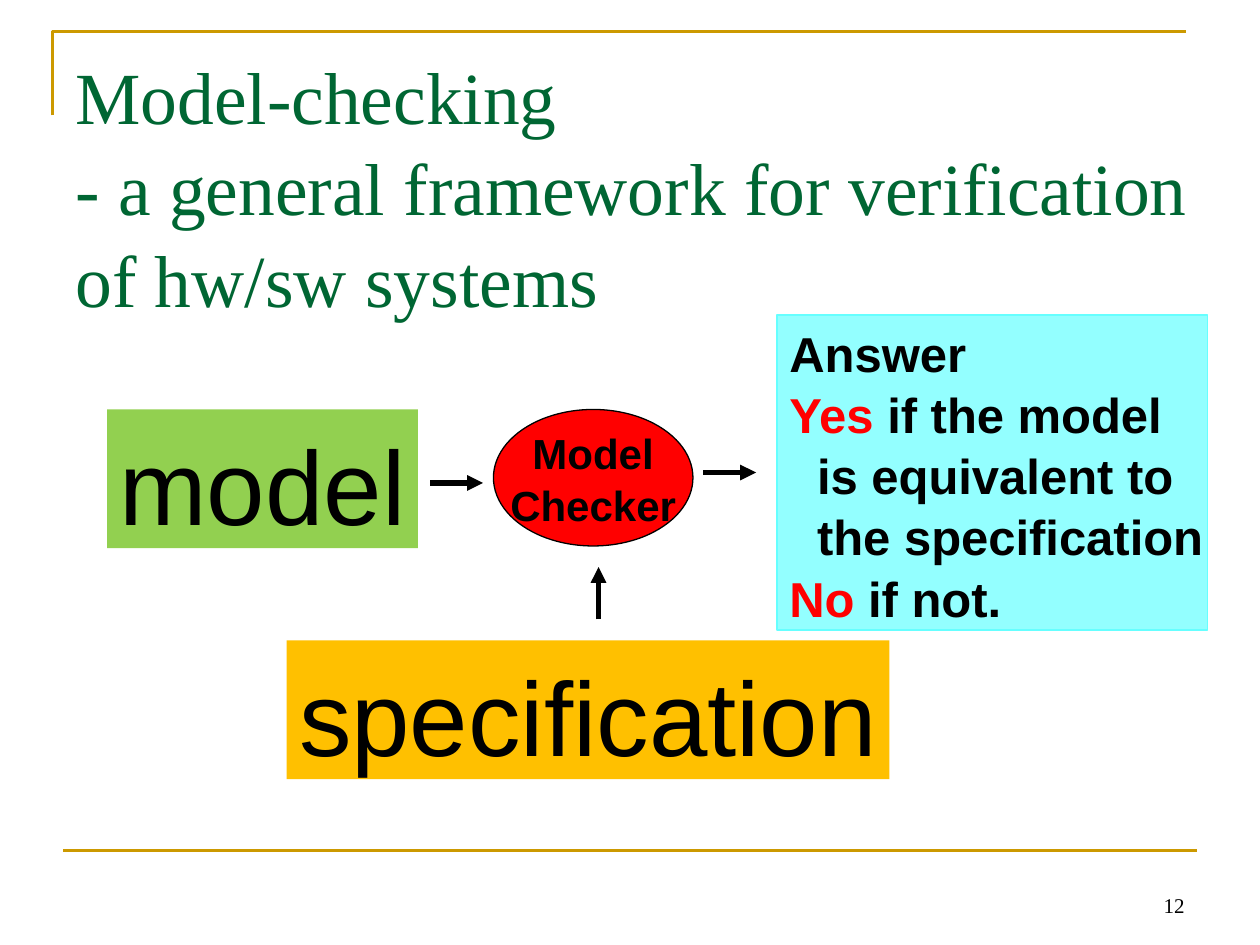
from lxml import etree
from pptx import Presentation
from pptx.dml.color import RGBColor
from pptx.enum.shapes import MSO_CONNECTOR, MSO_SHAPE
from pptx.enum.text import MSO_ANCHOR, PP_ALIGN
from pptx.oxml.ns import qn
from pptx.util import Inches, Pt

RECTANGLE, ELLIPSE = MSO_SHAPE.RECTANGLE, MSO_SHAPE.OVAL
STRAIGHT = MSO_CONNECTOR.STRAIGHT
TOP, MIDDLE, BOTTOM = MSO_ANCHOR.TOP, MSO_ANCHOR.MIDDLE, MSO_ANCHOR.BOTTOM
LEFT, CENTER, RIGHT = PP_ALIGN.LEFT, PP_ALIGN.CENTER, PP_ALIGN.RIGHT
SANS, SERIF = "Arial", "Times New Roman"
COLORS = {
    "gold": "CC9900", "title": "006633", "black": "000000", "red": "FF0000",
    "cyan": "66FFFF", "green": "92D050", "orange": "FFC000",
}


class DiagramSlide:
    """Draws styled elements on one slide, on a grid of 120 columns by 90 rows."""

    def __init__(self, presentation):
        self.slide = presentation.slides.add_slide(presentation.slide_layouts[6])
        self.column = presentation.slide_width / 120
        self.row = presentation.slide_height / 90

    def place(self, column, row):
        return round(column * self.column), round(row * self.row)

    def color(self, name):
        return RGBColor.from_string(COLORS[name])

    def stroke(self, line, color, width):
        line.color.rgb = self.color(color)
        line.width = Pt(width)

    def fill_text(self, shape, paragraphs, size, font=SANS, color="black", bold=False,
                  align=LEFT, anchor=TOP, wrap=False):
        frame = shape.text_frame
        frame.word_wrap = wrap
        frame.vertical_anchor = anchor
        for index, content in enumerate(paragraphs):
            paragraph = frame.add_paragraph() if index else frame.paragraphs[0]
            paragraph.alignment = align
            paragraph.line_spacing = 1.04
            runs = [(content, color)] if isinstance(content, str) else content
            if len(runs) == 1:
                paragraph.text = runs[0][0]
            else:
                for text, _ in runs:
                    paragraph.add_run().text = text
            colors = [name for _, name in runs]
            for position, run in enumerate(paragraph.runs):
                run.font.name, run.font.size, run.font.bold = font, Pt(size), bold
                run.font.color.rgb = self.color(colors[min(position, len(colors) - 1)])
        return frame

    def text(self, column, row, width, height, paragraphs, size, **style):
        box = self.slide.shapes.add_textbox(*self.place(column, row), *self.place(width, height))
        return self.fill_text(box, paragraphs, size, wrap=True, **style)

    def block(self, kind, column, row, width, height, fill, paragraphs, size,
              line=None, opacity=100, **style):
        shape = self.slide.shapes.add_shape(
            kind, *self.place(column, row), *self.place(width, height))
        shape.shadow.inherit = False
        shape.fill.solid()
        shape.fill.fore_color.rgb = self.color(fill)
        if opacity < 100:
            fill_color = shape._element.spPr.find(qn("a:solidFill"))[0]
            etree.SubElement(fill_color, qn("a:alpha")).set("val", str(opacity * 1000))
        if line:
            self.stroke(shape.line, line, 0.75)
        else:
            shape.line.fill.background()
        return self.fill_text(shape, paragraphs, size, **style)

    def line(self, start, end, color, width, arrow=False):
        connector = self.slide.shapes.add_connector(
            STRAIGHT, *self.place(*start), *self.place(*end))
        self.stroke(connector.line, color, width)
        properties = connector._element.spPr
        if arrow:
            outline = properties.find(qn("a:ln"))
            etree.SubElement(outline, qn("a:tailEnd")).set("type", "triangle")
        etree.SubElement(properties, qn("a:effectLst"))

    def corner(self, points, color, width):
        first, *others = [self.place(*point) for point in points]
        builder = self.slide.shapes.build_freeform(*first)
        builder.add_line_segments(others, close=False)
        shape = builder.convert_to_shape()
        shape.shadow.inherit = False
        shape.fill.background()
        self.stroke(shape.line, color, width)


def main():
    presentation = Presentation()
    presentation.slide_width, presentation.slide_height = Inches(10), Inches(7.5)
    diagram = DiagramSlide(presentation)

    diagram.corner([(5, 11), (5, 3), (113, 3)], "gold", 1.5)
    diagram.line((6, 81), (114, 81), "gold", 1.5)
    title = "Model-checking\v- a general framework for verification of hw/sw systems"
    diagram.text(6, 3.9, 114, 15, [title], 42, font=SERIF, color="title")
    diagram.text(86, 82, 28, 6, ["12"], 12, font=SERIF, align=RIGHT, anchor=BOTTOM)

    diagram.block(ELLIPSE, 47, 39, 19, 13, "red", ["Model", "Checker"], 24,
                  line="black", bold=True, align=CENTER, anchor=MIDDLE)
    answer = diagram.block(
        RECTANGLE, 74, 30, 41, 30, "cyan",
        ["Answer", [("Yes", "red"), (" if the model", "black")], "is equivalent to",
         "the specification", [("No", "red"), (" if not.", "black")]],
        28, line="cyan", opacity=70, bold=True)
    for paragraph in answer.paragraphs[2:4]:
        paragraph._p.get_or_add_pPr().set("marL", str(Inches(0.22)))

    for start, end in [((41, 46), (46, 46)), ((57, 59), (57, 54)), ((67, 45), (72, 45))]:
        diagram.line(start, end, "black", 3, arrow=True)
    diagram.block(RECTANGLE, 10.2, 39, 29.6, 13.2, "green", ["model"], 60)
    diagram.block(RECTANGLE, 27.3, 61, 57.4, 13.2, "orange", ["specification"], 60)

    presentation.save("out.pptx")


if __name__ == "__main__":
    main()
